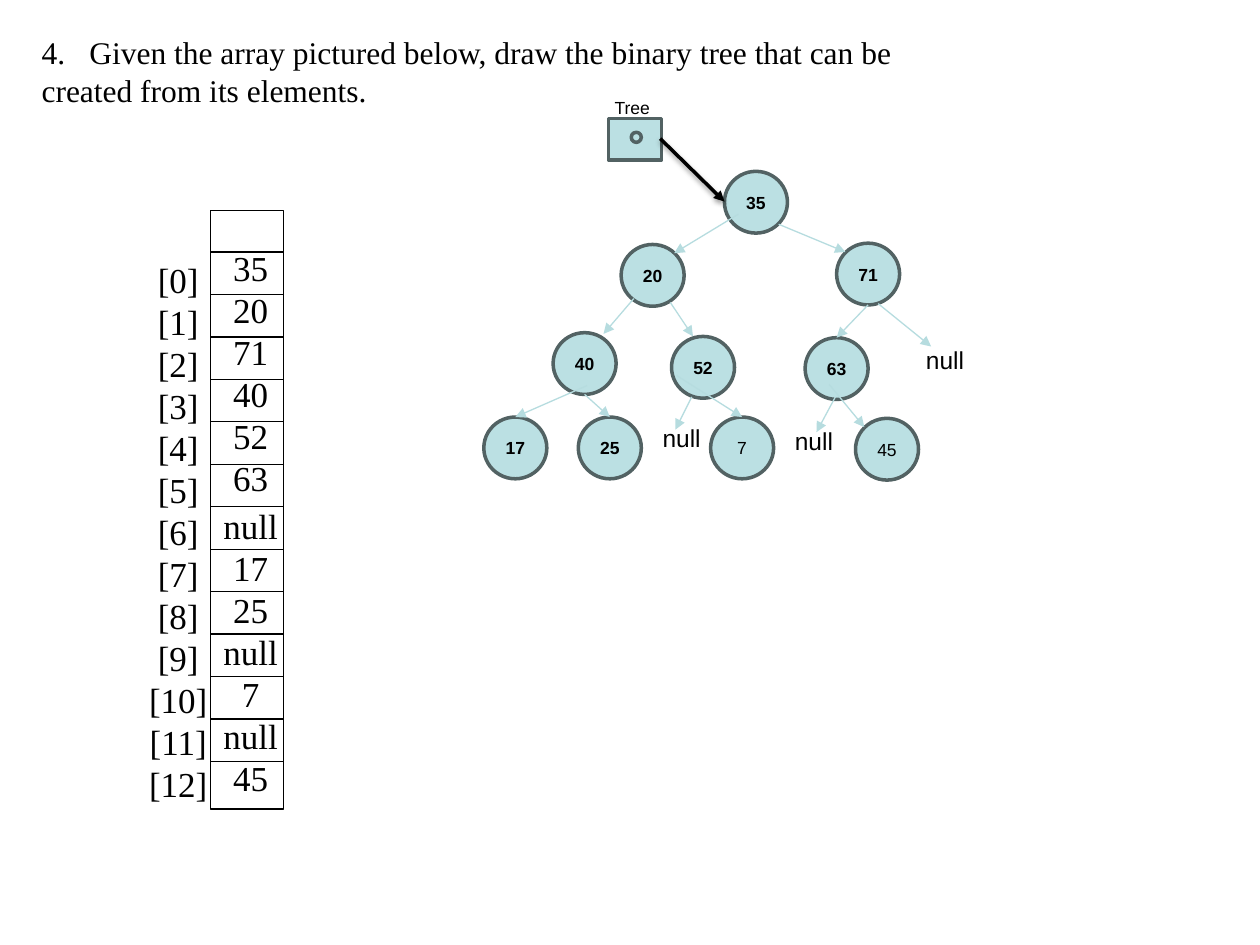
import pptx
import pptx.util
import pptx.oxml
import pptx.oxml.ns
import pptx.dml.color
import pptx.enum.shapes
import pptx.enum.text

Pt = pptx.util.Pt
Kind = pptx.enum.shapes.MSO_SHAPE
Align = pptx.enum.text.PP_ALIGN
Anchor = pptx.enum.text.MSO_ANCHOR
NS = pptx.oxml.ns.nsdecls("a")
ROMAN, SANS = "Times New Roman", "Arial"
HUES = {name: pptx.dml.color.RGBColor.from_string(code) for name, code in
        {"ink": "000000", "node": "BBE0E3", "rim": "526263", "edge": "B6DCDF"}.items()}

deck = pptx.Presentation()
deck.slide_width = pptx.util.Inches(10)
deck.slide_height = pptx.util.Inches(7.5)
col, row = deck.slide_width / 100, deck.slide_height / 75
slide = deck.slides.add_slide(deck.slide_layouts[5])
shapes = slide.shapes


def write(text, at=None, shape=None, size=10, font=SANS, bold=False,
          align=Align.LEFT, anchor=Anchor.TOP, wrap=False, pitch=None):
    """Set text in a shape, or in a new text box at grid (left, top, width, height)."""
    if shape is None:
        x, y, w, h = at
        shape = shapes.add_textbox(int(x * col), int(y * row), int(w * col), int(h * row))
    frame = shape.text_frame
    frame.text = text
    frame.auto_size = pptx.enum.text.MSO_AUTO_SIZE.NONE
    frame.word_wrap, frame.vertical_anchor = wrap, anchor
    for para in frame.paragraphs:
        para.alignment = align
        if pitch:
            para.line_spacing = Pt(pitch)
        for run in para.runs:
            run.font.size, run.font.name, run.font.bold = Pt(size), font, bold
            run.font.color.rgb = HUES["ink"]
    return frame.paragraphs


def draw(kind, at, fill="node", line="rim", width=2):
    x, y, w, h = at
    shape = shapes.add_shape(kind, int(x * col), int(y * row), int(w * col), int(h * row))
    shape.shadow.inherit = False
    if fill:
        shape.fill.solid()
        shape.fill.fore_color.rgb = HUES[fill]
    else:
        shape.fill.background()
    shape.line.color.rgb, shape.line.width = HUES[line], Pt(width)
    return shape


# Title
title = shapes.title
title.left, title.top = int(2.3 * col), int(2.1 * row)
title.width, title.height = int(70.2 * col), int(7.1 * row)
first = write("Given the array pictured below, draw the binary tree that can be\n"
              "created from its elements.",
              shape=title, size=18, font=ROMAN, wrap=True, pitch=21.6)[0]
props = first._p.get_or_add_pPr()
props.set("marL", str(int(3.8 * col)))
props.set("indent", str(int(-3.8 * col)))
props.append(pptx.oxml.parse_xml(f'<a:buAutoNum {NS} type="arabicPeriod" startAt="4"/>'))

# Array
cells = [35, 20, 71, 40, 52, 63, "null", 17, 25, "null", 7, "null", 45]
left, right, top, step = 16.7, 22.5, 20, 3.37
draw(Kind.RECTANGLE, (left, 16.7, right - left, 47.5), fill=None, line="ink", width=0.75)
serif = dict(size=20, font=ROMAN, align=Align.CENTER, pitch=24)
write("\n".join(f"[{i}]" for i in range(len(cells))), (10.8, top, 6.7, 44.8), **serif)
paras = write("\n".join(map(str, cells)), (left, 19.1, 6.4, 44.8), **serif)
paras[cells.index("null")].space_before = Pt(3)

# Tree
draw(Kind.RECTANGLE, (48.3, 9.4, 4.2, 3.3))
draw(Kind.OVAL, (50.1, 10.5, 0.8, 0.8))
write("Tree", (47.8, 7.2, 5, 2.7))

nodes = [(35, 57.5, 13.6), (20, 49.3, 19.4), (71, 66.4, 19.3), (40, 43.9, 26.4),
         (52, 53.3, 26.7), (63, 63.9, 26.8), (17, 38.4, 33.1), (25, 45.9, 33.1),
         (7, 56.4, 33.1), (45, 67.9, 33.2)]
for value, x, y in nodes:
    write(str(value), shape=draw(Kind.OVAL, (x, y, 5, 4.9)), bold=value not in (7, 45),
          align=Align.CENTER, anchor=Anchor.MIDDLE)
for x, y in [(72.5, 26.9), (51.6, 33.1), (62.1, 33.3)]:
    write("null", (x, y, 5.9, 3.4), size=14)

# Cell rules, then tree edges, then the arrow to the root
rules = [(left, top + i * step, right, top + i * step, "ink", 0.75, False)
         for i in range(len(cells))]
edges = [(58.6, 17, 53.5, 20.1), (61.8, 17.8, 67.1, 20),
         (50.3, 23.7, 47.9, 26.5), (53.2, 24, 55, 26.7),
         (68.9, 24.2, 66.4, 26.8), (69.7, 24.1, 73.9, 27.5),
         (46.6, 30.6, 40.9, 33.1), (46.4, 31.3, 48.4, 33.1),
         (54.9, 31.5, 53.6, 34.1), (53.7, 29.8, 58.9, 33.1),
         (66.3, 31.5, 64.8, 34.3), (65.8, 30.5, 68.6, 33.9)]
lines = rules + [(*edge, "edge", 0.75, True) for edge in edges]
lines.append((52.4, 11, 57.5, 16, "ink", 2, True))
for x1, y1, x2, y2, hue, width, arrow in lines:
    link = shapes.add_connector(pptx.enum.shapes.MSO_CONNECTOR.STRAIGHT, int(x1 * col),
                                int(y1 * row), int(x2 * col), int(y2 * row))
    link.line.color.rgb, link.line.width = HUES[hue], Pt(width)
    if arrow:
        link.line._get_or_add_ln().append(
            pptx.oxml.parse_xml(f'<a:tailEnd {NS} type="triangle"/>'))
    shade = ""
    if arrow and hue == "ink":
        shade = (f'<a:outerShdw blurRad="{Pt(3.1)}" dist="{Pt(1.6)}" dir="5400000">'
                 '<a:srgbClr val="000000"><a:alpha val="38000"/></a:srgbClr></a:outerShdw>')
    link._element.spPr.append(
        pptx.oxml.parse_xml(f"<a:effectLst {NS}>{shade}</a:effectLst>"))

deck.save("out.pptx")
